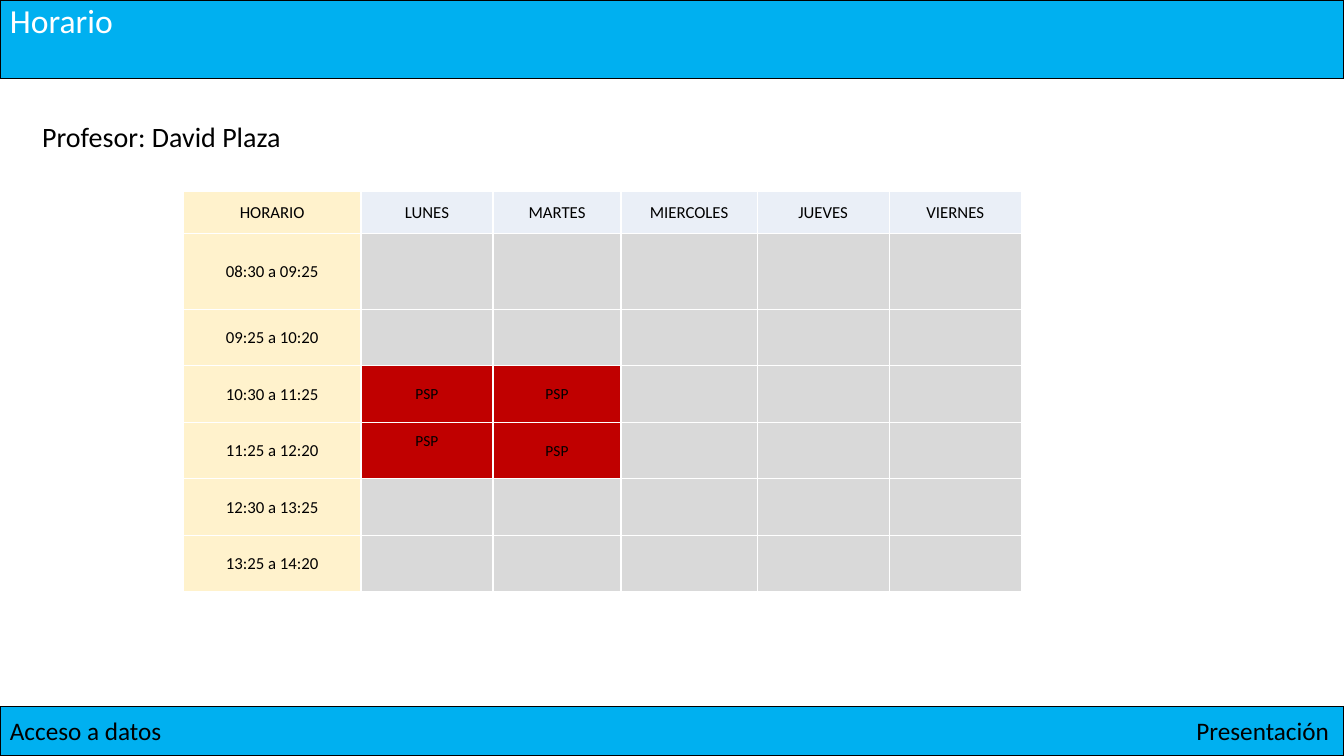
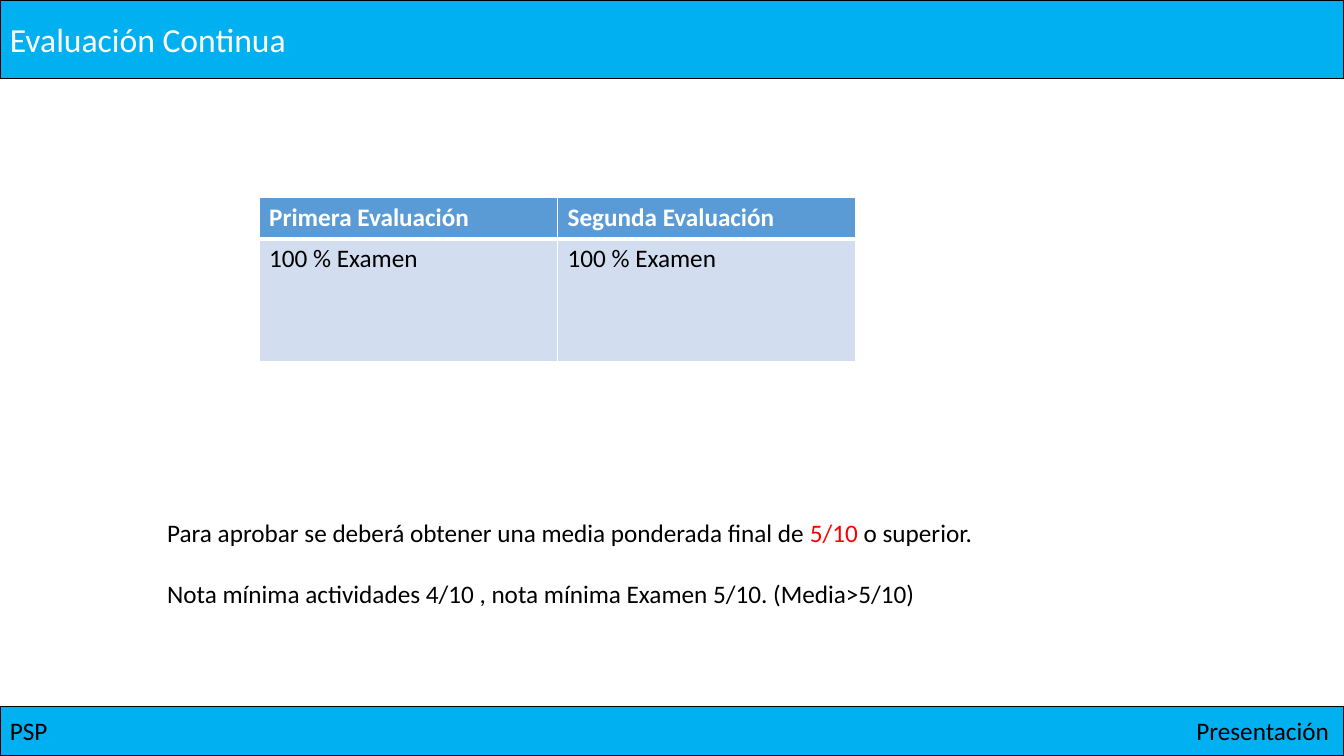
"""Build the timetable and continuous assessment slides of a course presentation."""
from lxml import etree
from pptx import Presentation
from pptx.dml.color import RGBColor
from pptx.enum.shapes import MSO_SHAPE
from pptx.enum.text import MSO_ANCHOR, PP_ALIGN
from pptx.oxml.ns import qn
from pptx.util import Inches, Pt

RECTANGLE = MSO_SHAPE.RECTANGLE
LEFT, CENTER, RIGHT = PP_ALIGN.LEFT, PP_ALIGN.CENTER, PP_ALIGN.RIGHT
TOP, MIDDLE = MSO_ANCHOR.TOP, MSO_ANCHOR.MIDDLE

FONT = "Calibri"
COLORS = {
    "band": "00B0F0", "black": "000000", "white": "FFFFFF", "red": "FF0000",
    "hours": "FFF2CC", "days": "EAEFF7", "free": "D9D9D9", "class": "C00000",
    "header": "5B9BD5", "body": "D2DEEF",
}
WIDTH, HEIGHT = 13.33, 7.5
TITLE_HEIGHT, FOOTER_HEIGHT = 0.78, 0.49
FOOTER_TOP = HEIGHT - FOOTER_HEIGHT
INSETS = (0.1, 0.05, 0.1, 0.05)
TIGHT = (0.01, 0.01, 0.01, 0)
SECTION = "Presentación"

TEACHER = "Profesor: David Plaza"
DAYS = ["LUNES", "MARTES", "MIERCOLES", "JUEVES", "VIERNES"]
HOURS = ["08:30 a 09:25", "09:25 a 10:20", "10:30 a 11:25",
         "11:25 a 12:20", "12:30 a 13:25", "13:25 a 14:20"]
CLASSES = {(3, 1): "PSP", (3, 2): "PSP", (4, 1): "PSP", (4, 2): "PSP"}
RAISED_CLASS = (4, 1)
TIMETABLE_COLUMNS = [1.76, 1.31, 1.27, 1.35, 1.31, 1.31]
TIMETABLE_ROWS = [0.42, 0.75] + [0.56] * 5

ASSESSMENT = [["Primera Evaluación", "Segunda Evaluación"],
              ["100 % Examen", "100 % Examen"]]
PASS_RULES = [
    [("Para aprobar se deberá obtener una media ponderada final de ", "black"),
     ("5/10 ", "red"), ("o superior.", "black")],
    [("Nota mínima actividades 4/10 , nota mínima Examen 5/10. (Media>5/10)", "black")],
]


def rgb(name):
    return RGBColor.from_string(COLORS[name])


def write(frame, text, size=18, color="black", bold=False, align=LEFT, gap=0):
    """Write a string, or paragraphs made of (text, colour) runs."""
    paragraphs = [[(text, color)]] if isinstance(text, str) else text
    for index, runs in enumerate(paragraphs):
        paragraph = frame.add_paragraph() if index else frame.paragraphs[0]
        paragraph.alignment = align
        paragraph.space_before = Pt(gap if index else 0)
        for words, run_color in runs:
            run = paragraph.add_run()
            run.text = words
            run.font.name, run.font.size, run.font.bold = FONT, Pt(size), bold
            run.font.color.rgb = rgb(run_color)


def set_insets(holder, insets):
    sides = ("margin_left", "margin_top", "margin_right", "margin_bottom")
    for side, inset in zip(sides, insets):
        setattr(holder, side, Inches(inset))


def add_text(slide, box, text, **style):
    frame = slide.shapes.add_textbox(*map(Inches, box)).text_frame
    frame.word_wrap = True
    write(frame, text, **style)


def add_band(slide, top, height):
    band = slide.shapes.add_shape(RECTANGLE, 0, Inches(top), Inches(WIDTH), Inches(height))
    band.shadow.inherit = False
    band.fill.solid()
    band.fill.fore_color.rgb = rgb("band")
    band.line.color.rgb = rgb("black")
    band.line.width = Pt(1)
    return band.text_frame


def add_page(deck, title, subject, anchor=MIDDLE, title_insets=INSETS):
    slide = deck.slides.add_slide(deck.slide_layouts[6])
    add_band(slide, FOOTER_TOP, FOOTER_HEIGHT)
    footer_top = FOOTER_TOP + 0.04
    add_text(slide, (0, footer_top, 4, 0.4), subject)
    add_text(slide, (9.28, footer_top, 4, 0.4), SECTION, align=RIGHT)
    heading = add_band(slide, 0, TITLE_HEIGHT)
    heading.vertical_anchor = anchor
    set_insets(heading, title_insets)
    write(heading, title, size=24, color="white")
    return slide


def add_grid(slide, left, top, columns, rows):
    box = map(Inches, (left, top, sum(columns), sum(rows)))
    table = slide.shapes.add_table(len(rows), len(columns), *box).table
    table.first_row = table.horz_banding = False
    for column, width in zip(table.columns, columns):
        column.width = Inches(width)
    for row, height in zip(table.rows, rows):
        row.height = Inches(height)
    return table


def style_cell(cell, fill, anchor=TOP, insets=INSETS, bottom=1):
    properties = cell._tc.get_or_add_tcPr()
    for side, points in (("L", 1), ("R", 1), ("T", 1), ("B", bottom)):
        border = etree.SubElement(properties, qn(f"a:ln{side}"), w=str(Pt(points)))
        paint = etree.SubElement(border, qn("a:solidFill"))
        etree.SubElement(paint, qn("a:srgbClr"), val=COLORS["white"])
    cell.fill.solid()
    cell.fill.fore_color.rgb = rgb(fill)
    cell.vertical_anchor = anchor
    set_insets(cell, insets)


def timetable_entry(row, column):
    """Return the text, fill and text size of a timetable cell."""
    if column == 0:
        return (["HORARIO"] + HOURS)[row], "hours", 12
    if row == 0:
        return DAYS[column - 1], "days", 12
    subject = CLASSES.get((row, column), "")
    return subject, "class" if subject else "free", 11


def build_timetable(deck):
    slide = add_page(deck, "Horario", "Acceso a datos", TOP, (0.1, 0, 0.1, 0))
    add_text(slide, (0.32, 1.14, 4, 0.44), TEACHER, size=20)
    table = add_grid(slide, 1.82, 1.9, TIMETABLE_COLUMNS, TIMETABLE_ROWS)
    for row in range(len(TIMETABLE_ROWS)):
        for column in range(len(TIMETABLE_COLUMNS)):
            cell = table.cell(row, column)
            text, fill, size = timetable_entry(row, column)
            raised = (row, column) == RAISED_CLASS
            style_cell(cell, fill, MIDDLE, (0.01, 0.01, 0.01, 0.19) if raised else TIGHT)
            if text:
                write(cell.text_frame, text, size=size, align=CENTER)


def build_assessment(deck):
    slide = add_page(deck, "Evaluación Continua", "PSP")
    table = add_grid(slide, 2.57, 1.96, [2.96] * 2, [0.41, 1.22])
    looks = [("header", "white", True, 3), ("body", "black", False, 1)]
    for row, (texts, look) in enumerate(zip(ASSESSMENT, looks)):
        fill, color, bold, bottom = look
        for column, text in enumerate(texts):
            cell = table.cell(row, column)
            style_cell(cell, fill, bottom=bottom)
            write(cell.text_frame, text, color=color, bold=bold)
    add_text(slide, (1.56, 5.08, 9.43, 1.31), PASS_RULES, gap=22)


def main():
    deck = Presentation()
    deck.slide_width, deck.slide_height = Inches(WIDTH), Inches(HEIGHT)
    build_timetable(deck)
    build_assessment(deck)
    deck.save("out.pptx")


if __name__ == "__main__":
    main()
